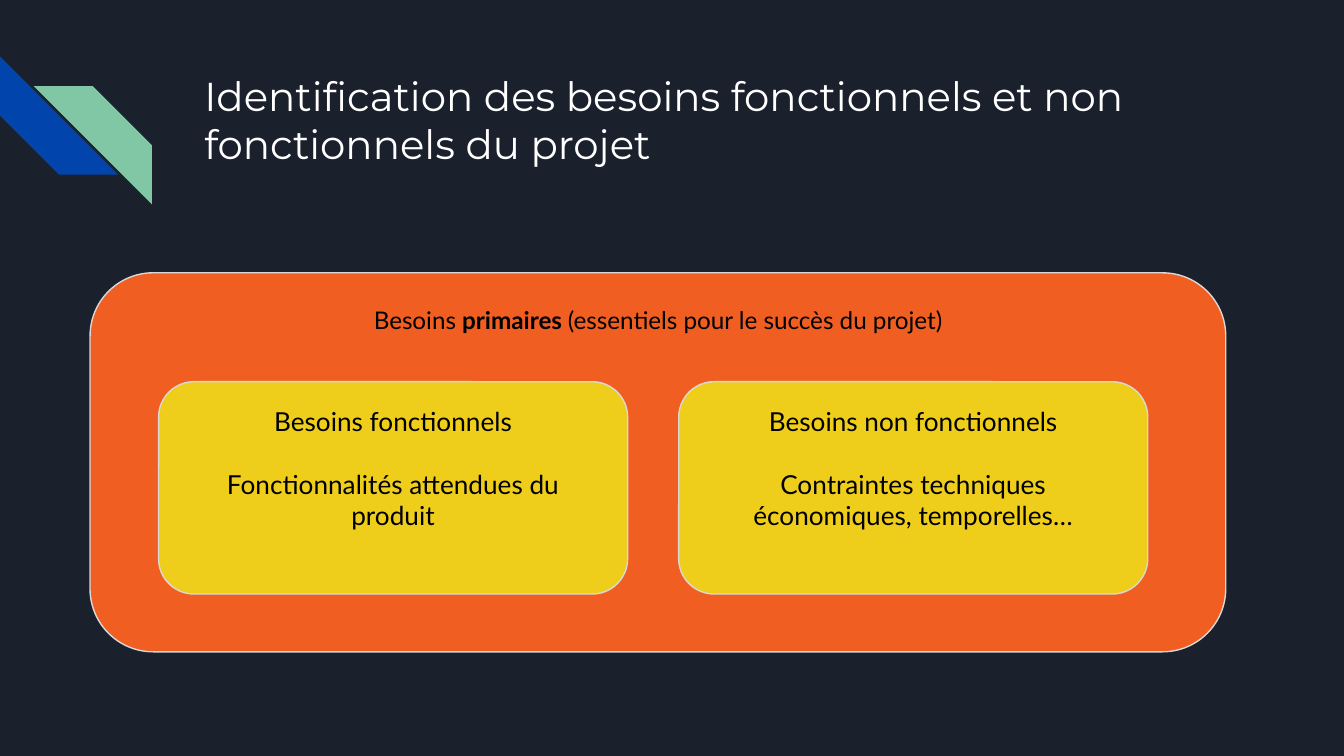
"""Build the slide on functional and non-functional project needs."""
import pptx
import pptx.dml.color
import pptx.enum.shapes
import pptx.enum.text
import pptx.util

Inches, Pt = pptx.util.Inches, pptx.util.Pt
RGB = pptx.dml.color.RGBColor.from_string
SHAPES = pptx.enum.shapes.MSO_SHAPE
ALIGN = pptx.enum.text.PP_ALIGN

TITLE = "Identification des besoins fonctionnels et non fonctionnels du projet"
PRIMARY_NEEDS = [[("Besoins ", False), ("primaires ", True),
                  ("(essentiels pour le succès du projet)", False)]]
NEEDS = [
    ["Besoins fonctionnels", "Fonctionnalités attendues du produit"],
    ["Besoins non fonctionnels", "Contraintes techniques", "économiques, temporelles…"],
]

THEME = {
    "background": "1B212C", "blue": "0145AC", "green": "82C7A5",
    "orange": "F15E22", "yellow": "EECE1A", "outline": "D9D9D9",
    "title": {"name": "Montserrat", "size": Pt(21.6), "color": "FFFFFF"},
    "primary": {"name": "Lato", "size": Pt(13), "color": "000000"},
    "need": {"name": "Lato", "size": Pt(14), "color": "000000"},
}
SLIDE_WIDTH = 10
SLIDE_HEIGHT = SLIDE_WIDTH * 9 / 16
STRIPES = [(0, 0.42, 270, "blue"), (0.25, 0.64, 90, "green")]
STRIPE_SIZE = 0.88
TITLE_BOX = (1.42, 0.43, 7.7, 1)
PRIMARY_BOX = (0.67, 2.03, 8.45, 2.82)
NEED_BOX = (1.18, 2.84, 3.49, 1.58)
NEED_GAP = 0.38
HEADING_GAP = Pt(16.8)
FRAME = {
    "margin_left": Inches(0.1), "margin_right": Inches(0.1),
    "margin_top": Inches(0.1), "margin_bottom": Inches(0.1),
    "word_wrap": True,
    "auto_size": pptx.enum.text.MSO_AUTO_SIZE.NONE,
    "vertical_anchor": pptx.enum.text.MSO_ANCHOR.TOP,
}


def apply(target, values):
    for name, value in values.items():
        setattr(target, name, value)


def write(frame, paragraphs, style, alignment, heading_gap=0):
    apply(frame, FRAME)
    for index, runs in enumerate(paragraphs):
        paragraph = frame.paragraphs[0] if index == 0 else frame.add_paragraph()
        apply(paragraph, {"alignment": alignment, "line_spacing": 1.0,
                          "space_before": heading_gap if index == 1 else Pt(0)})
        for text, bold in runs:
            run = paragraph.add_run()
            run.text = text
            apply(run.font, {"name": style["name"], "size": style["size"], "bold": bold})
            run.font.color.rgb = RGB(style["color"])


def add_filled(slide, kind, box, color):
    shape = slide.shapes.add_shape(kind, *map(Inches, box))
    shape.shadow.inherit = False
    shape.fill.solid()
    shape.fill.fore_color.rgb = RGB(THEME[color])
    return shape


def add_stripe(slide, left, top, rotation, color):
    stripe = add_filled(slide, SHAPES.DIAGONAL_STRIPE,
                        (left, top, STRIPE_SIZE, STRIPE_SIZE), color)
    stripe.rotation = rotation
    stripe.line.fill.background()


def add_card(slide, box, color, paragraphs, style, heading_gap=0):
    card = add_filled(slide, SHAPES.ROUNDED_RECTANGLE, box, color)
    card.line.color.rgb = RGB(THEME["outline"])
    card.line.width = Pt(0.75)
    write(card.text_frame, paragraphs, THEME[style], ALIGN.CENTER, heading_gap)


def main():
    deck = pptx.Presentation()
    apply(deck, {"slide_width": Inches(SLIDE_WIDTH), "slide_height": Inches(SLIDE_HEIGHT)})
    slide = deck.slides.add_slide(deck.slide_layouts[5])
    slide.background.fill.solid()
    slide.background.fill.fore_color.rgb = RGB(THEME["background"])

    for stripe in STRIPES:
        add_stripe(slide, *stripe)

    title = slide.shapes.title
    apply(title, dict(zip(("left", "top", "width", "height"), map(Inches, TITLE_BOX))))
    write(title.text_frame, [[(TITLE, False)]], THEME["title"], ALIGN.LEFT)

    add_card(slide, PRIMARY_BOX, "orange", PRIMARY_NEEDS, "primary")
    left, top, width, height = NEED_BOX
    for column, need in enumerate(NEEDS):
        box = (left + column * (width + NEED_GAP), top, width, height)
        add_card(slide, box, "yellow", [[(line, False)] for line in need],
                 "need", HEADING_GAP)

    deck.save("out.pptx")


if __name__ == "__main__":
    main()
